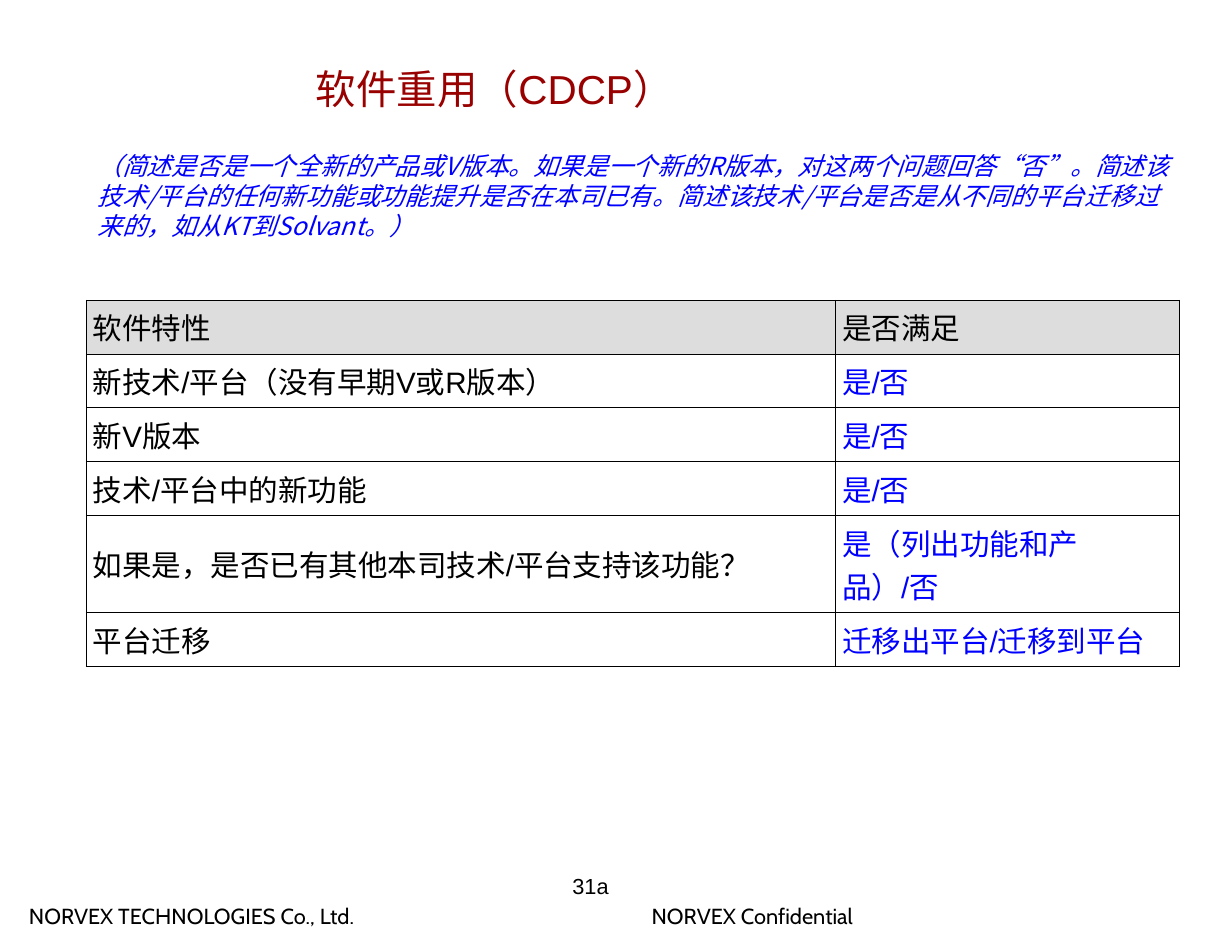
from lxml.etree import SubElement
from pptx import Presentation
from pptx.dml.color import RGBColor
from pptx.enum.text import MSO_ANCHOR, PP_ALIGN
from pptx.oxml import parse_xml
from pptx.oxml.ns import nsdecls, qn
from pptx.util import Inches, Pt

INK = {"black": "000000", "blue": "0000FF", "red": "990000",
       "gray": "DDDDDD", "white": "FFFFFF"}
HAN = "Noto Sans CJK SC"

TITLE = "软件重用（CDCP）"
INTRO = ("（简述是否是一个全新的产品或V版本。如果是一个新的R版本，"
         "对这两个问题回答“否”。简述该技术/平台的任何新功能或功能提升"
         "是否在本司已有。简述该技术/平台是否是从不同的平台迁移过来的，"
         "如从KT到Solvant。）")
ROWS = [
    ("软件特性", "是否满足"),
    ("新技术/平台（没有早期V或R版本）", "是/否"),
    ("新V版本", "是/否"),
    ("技术/平台中的新功能", "是/否"),
    ("如果是，是否已有其他本司技术/平台支持该功能？", "是（列出功能和产品）/否"),
    ("平台迁移", "迁移出平台/迁移到平台"),
]
WIDTHS = [6.69, 3.07]
LOW, TALL = 0.48, 0.87

PLAIN = {"word_wrap": True, "vertical_anchor": MSO_ANCHOR.TOP,
         "margin_left": 0, "margin_right": 0,
         "margin_top": 0, "margin_bottom": 0}
FOOT = {"word_wrap": False}
CELL = {"vertical_anchor": MSO_ANCHOR.MIDDLE,
        "margin_left": Inches(0.06), "margin_right": Inches(0.06),
        "margin_top": Inches(0.05), "margin_bottom": Inches(0.05)}
BOXES = [
    ((0.16, 8.01, 3.38, 0.33), "NORVEX TECHNOLOGIES Co., Ltd.", FOOT,
     {"size": Pt(14), "name": "Cabin"}, "black", None),
    ((5.72, 8.01, 2.27, 0.33), "NORVEX Confidential", FOOT,
     {"size": Pt(14), "name": "Cabin"}, "black", None),
    ((0.87, 1.34, 9.6, 0.87), INTRO, PLAIN,
     {"size": Pt(16), "name": HAN, "italic": True}, "blue", Pt(19.3)),
    ((5.11, 7.79, 0.55, 0.31), "31a", PLAIN,
     {"size": Pt(14), "name": "Arial"}, "black", None),
]


def apply(obj, form):
    for key, val in form.items():
        setattr(obj, key, val)


def write(frame, text, form, ink, pitch=None):
    para = frame.paragraphs[0]
    apply(para, {"alignment": PP_ALIGN.LEFT, "line_spacing": pitch})
    run = para.add_run()
    run.text = text
    apply(run.font, form)
    run.font.color.rgb = RGBColor.from_string(INK[ink])
    SubElement(run.font._element, qn("a:ea"), typeface=HAN)


def border(cell):
    props = cell._tc.get_or_add_tcPr()
    for spot, side in enumerate("LRTB"):
        props.insert(spot, parse_xml(
            f'<a:ln{side} {nsdecls("a")} w="{Pt(0.45)}"><a:solidFill>'
            f'<a:srgbClr val="{INK["black"]}"/></a:solidFill></a:ln{side}>'))


def place(shape, spot):
    names = ("left", "top", "width", "height")
    apply(shape, dict(zip(names, map(Inches, spot))))


deck = Presentation()
apply(deck, {"slide_width": Inches(11), "slide_height": Inches(8.5)})
slide = deck.slides.add_slide(deck.slide_layouts[5])

title = slide.shapes.title
place(title, (2.82, 0.55, 4.87, 0.47))
apply(title.text_frame, PLAIN)
write(title.text_frame, TITLE, {"size": Pt(26), "name": "Arial"}, "red", Pt(33))

for spot, text, frame, font, ink, pitch in BOXES:
    box = slide.shapes.add_textbox(*map(Inches, spot))
    apply(box.text_frame, frame)
    write(box.text_frame, text, font, ink, pitch)

highs = [TALL if row == ROWS[4] else LOW for row in ROWS]
grid = slide.shapes.add_table(
    len(ROWS), len(WIDTHS), Inches(0.77), Inches(2.68),
    Inches(sum(WIDTHS)), Inches(sum(highs))).table
for col, width in zip(grid.columns, WIDTHS):
    col.width = Inches(width)
for r, (texts, high) in enumerate(zip(ROWS, highs)):
    grid.rows[r].height = Inches(high)
    for c, text in enumerate(texts):
        cell = grid.cell(r, c)
        apply(cell, CELL)
        cell.fill.solid()
        cell.fill.fore_color.rgb = RGBColor.from_string(
            INK["white" if r else "gray"])
        border(cell)
        write(cell.text_frame, text,
              {"size": Pt(19), "name": "Arial", "bold": False},
              "blue" if r and c else "black")

deck.save("out.pptx")
